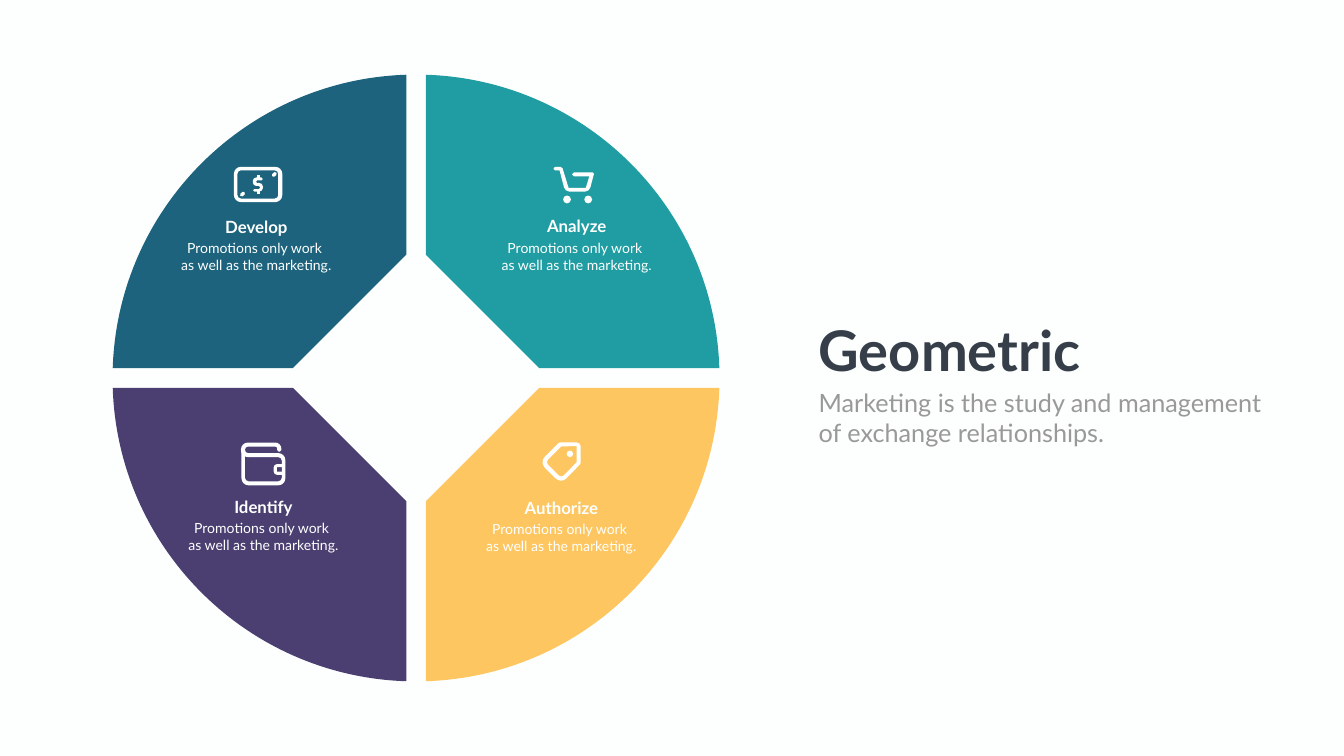
import math

import pptx
import pptx.dml.color
import pptx.enum.text
import pptx.oxml
import pptx.oxml.ns
import pptx.util

RGB = pptx.dml.color.RGBColor
PAPER = RGB(0xFD, 0xFF, 0xFE)
WHITE = RGB(0xFF, 0xFF, 0xFF)
BLUE = RGB(0x1D, 0x63, 0x7D)
PURPLE = RGB(0x4B, 0x3F, 0x71)
YELLOW = RGB(0xFE, 0xC6, 0x60)
TEAL = RGB(0x20, 0x9D, 0xA2)
INK = RGB(0x35, 0x3E, 0x49)
GREY = RGB(0x98, 0x99, 0x98)

ALIGN = pptx.enum.text.PP_ALIGN
FORMATS = {
    "label": {"size": 24, "bold": True, "color": PAPER, "align": ALIGN.CENTER},
    "body": {"size": 20, "bold": False, "color": PAPER, "align": ALIGN.CENTER},
    "title": {"size": 80, "bold": True, "color": INK, "align": ALIGN.LEFT},
    "subtitle": {"size": 36, "bold": False, "color": GREY, "align": ALIGN.LEFT},
}

ROWS = 150  # square grid cells down the slide
CENTRE = (82.53, 75)
RADIUS, HALF_GAP, INNER = 60.2, 1.94, 24.45


def box(x, y, w, h, r=0.0):
    """Corners of a rectangle as (x, y, rounding radius)."""
    return [(x, y, r), (x + w, y, r), (x + w, y + h, r), (x, y + h, r)]


def move(corners, dx, dy):
    return [(x + dx, y + dy, r) for x, y, r in corners]


def rounded(corners):
    """Outline pieces: one point for a line, three for a Bezier curve."""
    pieces = []
    for i, (x, y, r) in enumerate(corners):
        if not r:
            pieces.append([(x, y)])
            continue
        ends = []
        for nx, ny, _ in (corners[i - 1], corners[(i + 1) % len(corners)]):
            k = r / math.hypot(nx - x, ny - y)
            ends.append(((nx - x) * k, (ny - y) * k))
        a, c1, c2, b = [(x + k * dx, y + k * dy) for k, (dx, dy) in
                        zip((1, 0.45, 0.45, 1), (ends[0], *ends, ends[1]))]
        pieces += [[a], [c1, c2, b]]
    return pieces


def quadrant(sx, sy):
    """Ring quarter on the side given by the signs sx and sy."""
    start = math.asin(HALF_GAP / RADIUS)
    edge = RADIUS * math.cos(start)
    pull = 4 / 3 * math.tan((math.pi / 2 - 2 * start) / 4)
    cx, cy = edge - pull * HALF_GAP, HALF_GAP + pull * edge
    pieces = [[(INNER, HALF_GAP)], [(edge, HALF_GAP)],
              [(cx, cy), (cy, cx), (HALF_GAP, edge)], [(HALF_GAP, INNER)]]
    return [[(CENTRE[0] + sx * x, CENTRE[1] + sy * y) for x, y in piece]
            for piece in pieces]


# An icon is a list of parts; a part is an outline followed by its holes.
DASH = [(7.4, 1.6, 0.25), (8.2, 0.9, 0.25), (8.6, 1.5, 0.25), (7.8, 2.1, 0.25)]
DOLLAR = [(5.7, 2.1, 0.25), (5.7, 2.7, 0.25), (4.4, 2.7, 0.2), (4.4, 3.2, 0.2),
          (5.75, 3.2, 0.7), (5.75, 4.9, 0.7), (3.8, 4.9, 0.25), (3.8, 4.4, 0.25),
          (5.2, 4.4, 0.25), (5.2, 3.8, 0.25), (3.75, 3.8, 0.7), (3.75, 2.1, 0.7)]
BANKNOTE = [
    [box(0, 0, 9.6, 7, 1.4), box(0.7, 0.7, 8.1, 5.6, 0.7)],
    [DOLLAR],
    [box(4.5, 1.6, 0.6, 0.8)],
    [box(4.5, 4.6, 0.6, 0.8)],
    [DASH],
    [move(DASH, -6.3, 3.9)],
]
BASKET = [(0, 0, 0.3), (1.7, 0, 0.3), (3, 4.2, 0), (6.4, 4.2, 0),
          (7.1, 1.9, 0), (3.7, 1.9, 0.35), (3.7, 1.1, 0.35), (8.1, 1.1, 0.4),
          (7.1, 4.9, 0.8), (2.3, 4.9, 0.8), (1.2, 0.7, 0), (0, 0.7, 0.3)]
CART = [[BASKET], [box(1.9, 5.7, 1.56, 1.56, 0.78)],
        [box(6.1, 5.7, 1.56, 1.56, 0.78)]]
POCKET = [(0.1, 1.5, 0), (0.8, 1.5, 0), (0.8, 7.7, 0.7), (8.1, 7.7, 0.7),
          (8.1, 2.9, 0.7), (1.5, 2.9, 0), (1.5, 2.1, 0), (8.8, 2.1, 1.4),
          (8.8, 8.5, 1.4), (0.1, 8.5, 1.4)]
FLAP = [(8, 0, 1.2), (8, 1.8, 0.3), (7.2, 1.8, 0.3), (7.2, 0.8, 0.4),
        (0.8, 0.8, 0.6), (0.8, 2.1, 0.6), (1.6, 2.1, 0), (1.6, 2.9, 0),
        (0, 2.9, 1.4), (0, 0, 1.4)]
WALLET = [[box(6.5, 4.3, 2.2, 2.1, 0.6), box(7.1, 4.9, 1.1, 0.9)],
          [POCKET], [FLAP]]
TAG = [
    [[(3.4, 0, 0.2), (7.7, 0, 0.8), (7.7, 4.2, 0.2), (3.8, 8.2, 1.5),
      (-0.5, 3.9, 1.5)],
     [(3.8, 0.8, 0), (6.9, 0.7, 0), (6.9, 3.9, 0), (3.85, 7.05, 0.7),
      (0.7, 3.9, 0.7)]],
    [box(4.9, 1.6, 1.3, 1.3, 0.65)],
]

# name, colour, side, icon, icon corner, label centre and top
QUARTERS = [
    ("Develop", BLUE, (-1, -1), BANKNOTE, (46.4, 33.1), (50.85, 42.5)),
    ("Identify", PURPLE, (-1, 1), WALLET, (47.8, 87.8), (52.25, 98)),
    ("Authorize", YELLOW, (1, 1), TAG, (107.5, 87.8), (111.35, 98.2)),
    ("Analyze", TEAL, (1, -1), CART, (109.8, 33.1), (114.4, 42.4)),
]
PROMISE = ["Promotions only work ", "as well as the marketing."]


class Deck:
    """Holds the font, the grid cell and the current slide."""

    font = "Lato"

    def __init__(self):
        self.prs = pptx.Presentation()
        self.prs.slide_width = pptx.util.Inches(26.66)
        self.prs.slide_height = pptx.util.Inches(15)
        self.cell = self.prs.slide_height / ROWS
        self.s = self.prs.slides.add_slide(self.prs.slide_layouts[6])
        fill = self.s.background.fill
        fill.solid()
        fill.fore_color.rgb = PAPER

    def emu(self, *cells):
        return [round(c * self.cell) for c in cells]

    def freeform(self, outlines, color):
        """One filled shape; outlines after the first are holes."""
        builder = self.s.shapes.build_freeform(*self.emu(*outlines[0][0][0]))
        for i, (first, *rest) in enumerate(outlines):
            if i:
                builder.move_to(*self.emu(*first[0]))
            builder.add_line_segments([self.emu(*pt) for piece in rest for pt in piece])
        sp = builder.convert_to_shape()
        self.bend(sp, [len(piece) for _, *rest in outlines for piece in rest])
        sp.shadow.inherit = False
        sp.fill.solid()
        sp.fill.fore_color.rgb = color
        sp.line.fill.background()

    def bend(self, sp, counts):
        """Join each run of three line points into one cubic curve."""
        lines = iter(sp.element.xpath(".//a:lnTo"))
        for count in counts:
            run = [next(lines) for _ in range(count)]
            if count == 3:
                curve = pptx.oxml.parse_xml(
                    "<a:cubicBezTo %s/>" % pptx.oxml.ns.nsdecls("a"))
                run[0].addprevious(curve)
                for line in run:
                    curve.append(line[0])
                    line.getparent().remove(line)

    def icon(self, parts, corner):
        for part in parts:
            self.freeform([rounded(move(c, *corner)) for c in part], WHITE)

    def text(self, x, y, w, h, lines, style, wrap=True):
        tf = self.s.shapes.add_textbox(*self.emu(x, y, w, h)).text_frame
        tf.word_wrap = wrap
        tf.auto_size = pptx.enum.text.MSO_AUTO_SIZE.SHAPE_TO_FIT_TEXT
        fmt = FORMATS[style]
        values = {"name": self.font, "size": pptx.util.Pt(fmt["size"]), "bold": fmt["bold"]}
        for i, line in enumerate(lines):
            p = tf.add_paragraph() if i else tf.paragraphs[0]
            p.alignment = fmt["align"]
            r = p.add_run()
            r.text = line
            for key, value in values.items():
                setattr(r.font, key, value)
            r.font.color.rgb = fmt["color"]

    def caption(self, name, centre, top):
        self.text(centre - 9.45, top, 18.9, 5, [name], "label")
        self.text(centre - 16.8, top + 4.6, 33.6, 7.7, PROMISE, "body")


def main():
    deck = Deck()
    for _, color, side, *_ in QUARTERS:
        deck.freeform([quadrant(*side)], color)
    for *_, icon, corner, _ in QUARTERS:
        deck.icon(icon, corner)
    for name, *_, label in QUARTERS:
        deck.caption(name, *label)
    deck.text(161.4, 62.1, 54.9, 14.5, ["Geometric"], "title", wrap=False)
    deck.text(161.4, 76.3, 97.4, 13.1, ["Marketing is the study and management",
                                        "of exchange relationships."], "subtitle")
    deck.prs.save("out.pptx")


if __name__ == "__main__":
    main()
